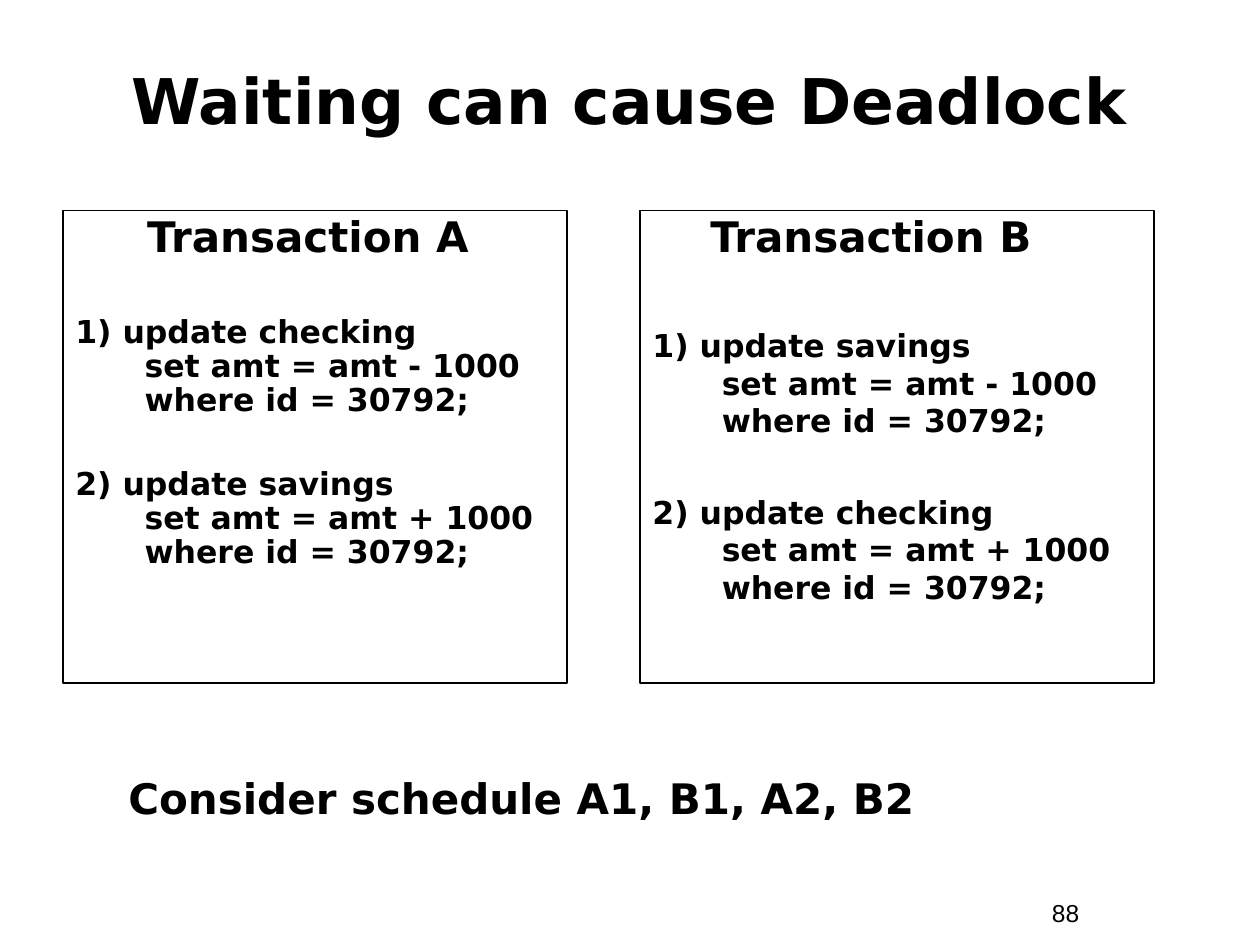
"""Build the slide on how waiting transactions can cause a deadlock."""
from dataclasses import dataclass

from pptx import Presentation
from pptx.dml.color import RGBColor
from pptx.enum.shapes import MSO_SHAPE
from pptx.enum.text import MSO_ANCHOR, PP_ALIGN
from pptx.shapes.autoshape import Shape
from pptx.slide import Slide
from pptx.text.text import _Paragraph
from pptx.util import Inches, Length, Pt


@dataclass(frozen=True)
class Theme:
    ink: RGBColor = RGBColor(0, 0, 0)
    heading_font: str = "DejaVu Sans"
    number_font: str = "Arial"
    title_size: Length = Pt(36)
    heading_size: Length = Pt(24)
    step_size: Length = Pt(18)
    number_size: Length = Pt(14)
    border: Length = Pt(1)


@dataclass(frozen=True)
class Box:
    left: float
    top: float
    width: float
    height: float

    def lengths(self) -> tuple[Length, ...]:
        return tuple(Inches(v) for v in (self.left, self.top, self.width, self.height))


@dataclass(frozen=True)
class Transaction:
    heading: str
    box: Box
    heading_indent: float
    steps: tuple[str, ...]
    gaps: tuple[float, ...]
    step_spacing: float


THEME = Theme()
STEP_INDENT = Inches(0.55)
TRANSACTIONS = (
    Transaction(
        "Transaction A", Box(0.5, 1.67, 4, 3.75), 0.57,
        ("1) update checking\vset amt = amt - 1000\vwhere id = 30792;",
         "2) update savings\vset amt = amt + 1000\vwhere id = 30792;"),
        (31, 28.5), 0.9,
    ),
    Transaction(
        "Transaction B", Box(5.08, 1.67, 4.08, 3.75), 0.46,
        ("1) update savings\vset amt = amt - 1000\vwhere id = 30792;",
         "2) update checking\vset amt = amt + 1000\vwhere id = 30792;"),
        (36.5, 30.5), 1.0,
    ),
)


def style(paragraph: _Paragraph, size: Length, font: str = THEME.heading_font,
          bold: bool = True) -> None:
    paragraph.font.name = font
    paragraph.font.size = size
    paragraph.font.bold = bold
    paragraph.font.color.rgb = THEME.ink


def indent(paragraph: _Paragraph, margin: Length, first_line: Length) -> None:
    properties = paragraph._p.get_or_add_pPr()
    properties.set("marL", str(margin))
    properties.set("indent", str(first_line))


def add_label(slide: Slide, text: str, box: Box, size: Length,
              font: str = THEME.heading_font, bold: bool = True) -> Shape:
    label = slide.shapes.add_textbox(*box.lengths())
    label.text_frame.word_wrap = True
    paragraph = label.text_frame.paragraphs[0]
    paragraph.text = text
    style(paragraph, size, font, bold)
    return label


def add_transaction(slide: Slide, transaction: Transaction) -> None:
    panel = slide.shapes.add_shape(MSO_SHAPE.RECTANGLE, *transaction.box.lengths())
    panel.shadow.inherit = False
    panel.fill.background()
    panel.line.color.rgb = THEME.ink
    panel.line.width = THEME.border
    frame = panel.text_frame
    frame.word_wrap = True
    frame.vertical_anchor = MSO_ANCHOR.TOP

    heading = frame.paragraphs[0]
    heading.text = transaction.heading
    heading.alignment = PP_ALIGN.LEFT
    heading.line_spacing = 0.9
    indent(heading, Inches(transaction.heading_indent), Inches(0))
    style(heading, THEME.heading_size)

    for text, gap in zip(transaction.steps, transaction.gaps):
        step = frame.add_paragraph()
        step.text = text
        step.alignment = PP_ALIGN.LEFT
        step.line_spacing = transaction.step_spacing
        step.space_before = Pt(gap)
        indent(step, STEP_INDENT, -STEP_INDENT)
        style(step, THEME.step_size)


def main() -> None:
    presentation = Presentation()
    presentation.slide_width = Inches(10)
    presentation.slide_height = Inches(7.5)
    slide = presentation.slides.add_slide(presentation.slide_layouts[6])

    add_label(slide, "88", Box(8.25, 7.08, 0.92, 0.34), THEME.number_size,
              THEME.number_font, bold=False)
    title = add_label(slide, "Waiting can cause Deadlock",
                      Box(0.33, 0.33, 9.33, 0.92), THEME.title_size)
    title.text_frame.vertical_anchor = MSO_ANCHOR.MIDDLE
    title.text_frame.paragraphs[0].alignment = PP_ALIGN.CENTER
    for transaction in TRANSACTIONS:
        add_transaction(slide, transaction)
    add_label(slide, "Consider schedule A1, B1, A2, B2",
              Box(0.92, 6.08, 8.17, 0.5), THEME.heading_size)

    presentation.save("out.pptx")


if __name__ == "__main__":
    main()
